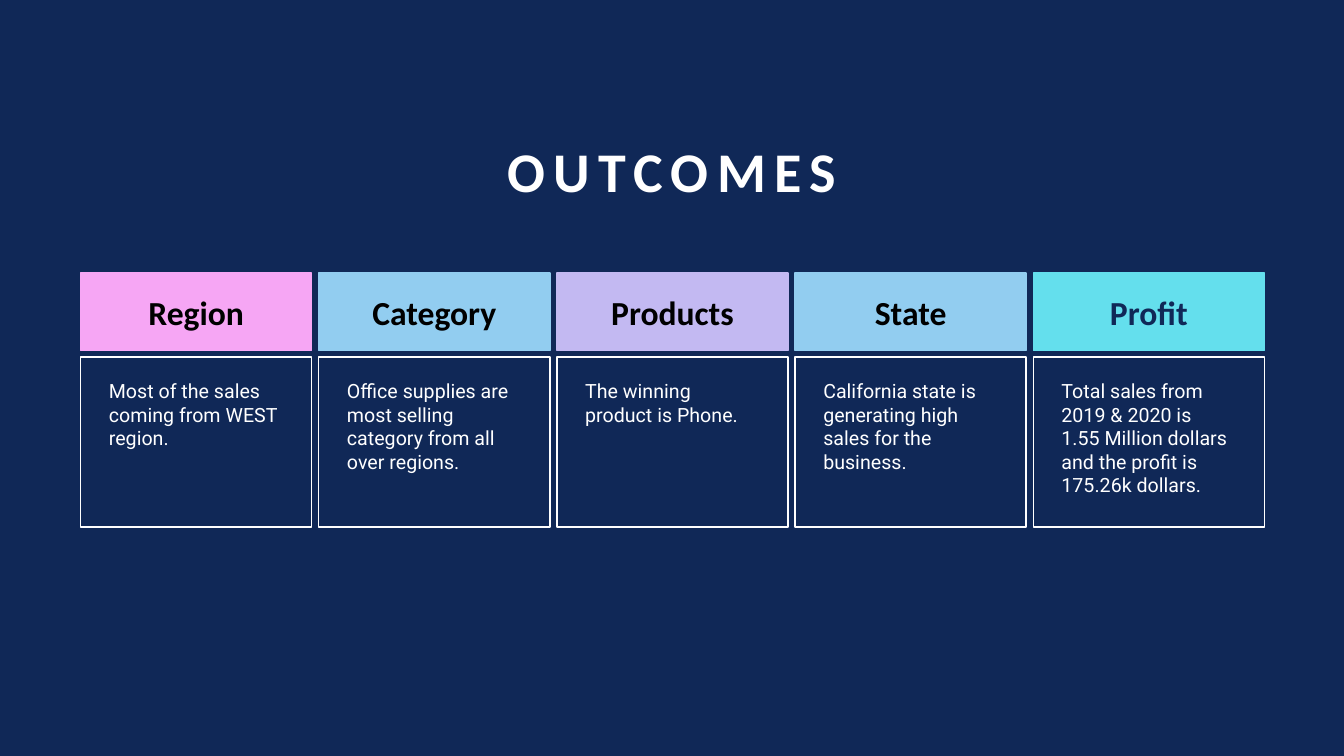
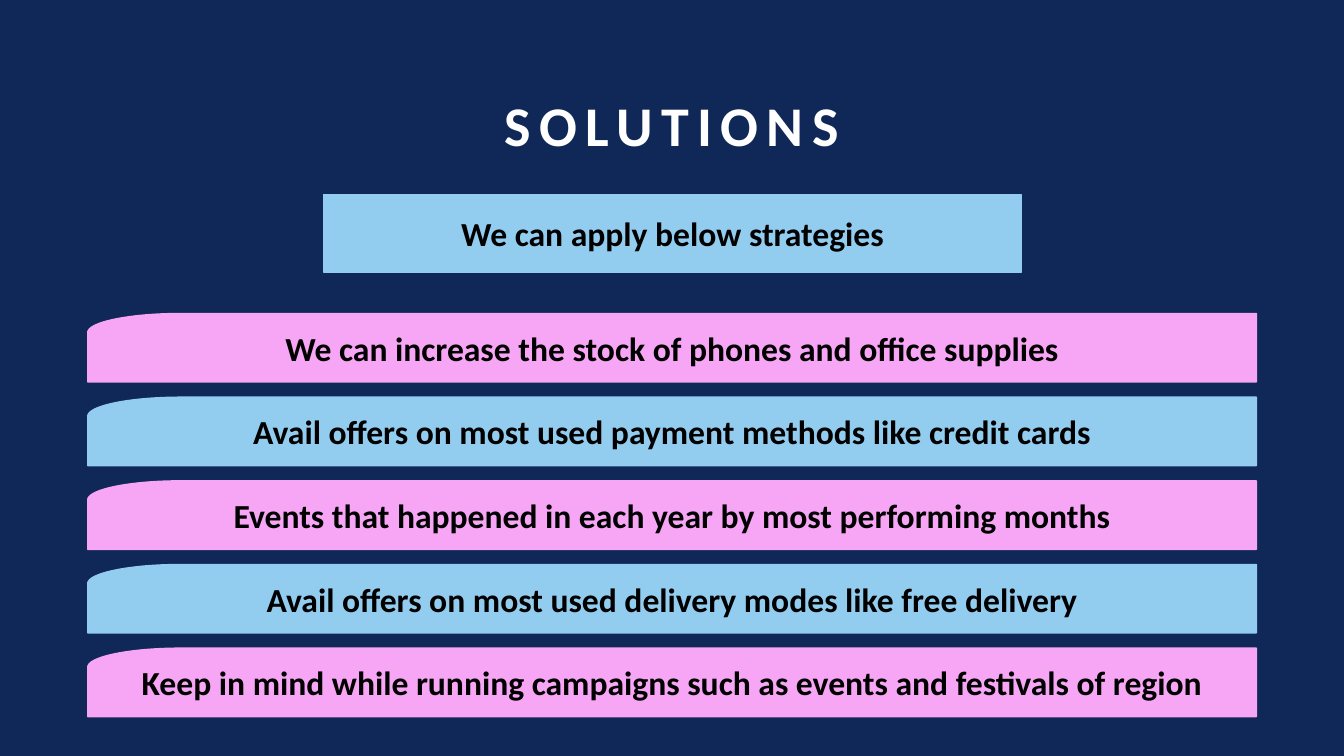
from dataclasses import dataclass
from math import cos, pi, sin

from pptx import Presentation
from pptx.dml.color import RGBColor
from pptx.enum.shapes import MSO_SHAPE as Preset
from pptx.enum.text import MSO_ANCHOR as Anchor, MSO_AUTO_SIZE as AutoSize, PP_ALIGN as Align
from pptx.util import Emu, Pt

PX = 9144


@dataclass(frozen=True)
class Theme:
    """Colours, fonts and type sizes of the deck."""
    navy: str = "102857"
    white: str = "FFFFFF"
    black: str = "000000"
    pink: str = "F6A6F4"
    blue: str = "92CDF0"
    lilac: str = "C3B9F2"
    cyan: str = "64DFED"
    heading_font: str = "Calibri"
    body_font: str = "Roboto"
    title_size: int = 40
    heading_size: int = 24
    body_size: int = 14


THEME = Theme()


def px(length):
    """Turn px into EMU."""
    return Emu(round(length * PX))


def write_text(shape, text, size=THEME.heading_size, font=THEME.heading_font,
               color=THEME.black, bold=True, align=Align.CENTER,
               anchor=Anchor.MIDDLE, insets=(10, 5, 10, 5), leading=1.0, tracking=0):
    """Write one formatted paragraph into a shape."""
    frame = shape.text_frame
    frame.word_wrap = True
    frame.auto_size = AutoSize.NONE
    frame.vertical_anchor = anchor
    frame.margin_left, frame.margin_top, frame.margin_right, frame.margin_bottom = map(px, insets)
    paragraph = frame.paragraphs[0]
    paragraph.alignment = align
    paragraph.line_spacing = leading
    run = paragraph.add_run()
    run.text = text
    run.font.name = font
    run.font.size = Pt(size)
    run.font.bold = bold
    run.font.color.rgb = RGBColor.from_string(color)
    if tracking:
        run._r.get_or_add_rPr().set("spc", str(tracking * 100))


def paint(shape, line, fill=None):
    """Give a shape its outline and optional fill, without a shadow."""
    shape.shadow.inherit = False
    shape.line.color.rgb = RGBColor.from_string(line)
    shape.line.width = Pt(1)
    if fill:
        shape.fill.solid()
        shape.fill.fore_color.rgb = RGBColor.from_string(fill)
    else:
        shape.fill.background()


def add_box(slide, left, top, width, height, line, fill=None):
    """Add a painted rectangle."""
    shape = slide.shapes.add_shape(Preset.RECTANGLE, *map(px, (left, top, width, height)))
    paint(shape, line, fill)
    return shape


def add_heading(slide, left, top, width, text, fill, color=THEME.black):
    """Add a filled heading band."""
    write_text(add_box(slide, left, top, width, 77, fill, fill), text, color=color)


def add_titled_slide(presentation, title, top, height):
    """Add a slide with the shared title style."""
    slide = presentation.slides.add_slide(presentation.slide_layouts[5])
    shape = slide.shapes.title
    shape.left, shape.top, shape.width, shape.height = map(px, (181, top, 971, height))
    write_text(shape, title, size=THEME.title_size, color=THEME.white,
               anchor=Anchor.BOTTOM, leading=0.9, tracking=6)
    return slide


def add_columns(slide, left, top, width, columns, gap=7):
    """Add equal columns, each a heading above an outlined note."""
    column_width = (width - gap * (len(columns) - 1)) / len(columns)
    for index, (heading, note, fill, color) in enumerate(columns):
        column_left = left + index * (column_width + gap)
        add_heading(slide, column_left, top, column_width, heading, fill, color)
        box = add_box(slide, column_left, top + 83, column_width, 169, THEME.white)
        write_text(box, note, size=THEME.body_size, font=THEME.body_font,
                   color=THEME.white, bold=False, align=Align.LEFT,
                   anchor=Anchor.TOP, insets=(28, 22, 30, 5))


def add_strategy(slide, left, top, width, height, text, fill):
    """Add a bar whose top left corner is a quarter ellipse."""
    radius_x, radius_y, steps = 93, 19, 24
    angles = [pi / 2 * step / steps for step in range(steps + 1)]
    corner = [(left + radius_x * (1 - cos(angle)), top + radius_y * (1 - sin(angle)))
              for angle in angles]
    right, bottom = left + width, top + height
    outline = [(px(x), px(y)) for x, y in
               corner + [(right, top), (right, bottom), (left, bottom)]]
    builder = slide.shapes.build_freeform(*outline[0])
    builder.add_line_segments(outline[1:], close=True)
    shape = builder.convert_to_shape()
    paint(shape, fill, fill)
    write_text(shape, text)


def build_outcomes(presentation):
    """Build the slide of five outcomes."""
    slide = add_titled_slide(presentation, "OUTCOMES", 91, 117)
    add_columns(slide, 80, 271, 1174, [
        ("Region", "Most of the sales coming from WEST region.", THEME.pink, THEME.black),
        ("Category", "Office supplies are most selling category from all over regions.",
         THEME.blue, THEME.black),
        ("Products", "The winning product is Phone.", THEME.lilac, THEME.black),
        ("State", "California state is generating high sales for the business.",
         THEME.blue, THEME.black),
        ("Profit", "Total sales from 2019 & 2020 is 1.55 Million dollars "
         "and the profit is 175.26k dollars.", THEME.cyan, THEME.navy),
    ])


def build_solutions(presentation):
    """Build the slide of strategies."""
    slide = add_titled_slide(presentation, "SOLUTIONS", 85, 77)
    add_heading(slide, 321, 193, 692, "We can apply below strategies", THEME.blue)
    strategies = [
        "We can increase the stock of phones and office supplies",
        "Avail offers on most used payment methods like credit cards",
        "Events that happened in each year by most performing months",
        "Avail offers on most used delivery modes like free delivery",
        "Keep in mind while running campaigns such as events and festivals of region",
    ]
    for index, text in enumerate(strategies):
        fill = (THEME.pink, THEME.blue)[index % 2]
        add_strategy(slide, 87, 311 + 83 * index, 1159, 68, text, fill)


def main():
    """Build and save the deck."""
    presentation = Presentation()
    presentation.slide_width, presentation.slide_height = px(1333), px(750)
    background = presentation.slide_master.background.fill
    background.solid()
    background.fore_color.rgb = RGBColor.from_string(THEME.navy)
    build_outcomes(presentation)
    build_solutions(presentation)
    presentation.save("out.pptx")


if __name__ == "__main__":
    main()
